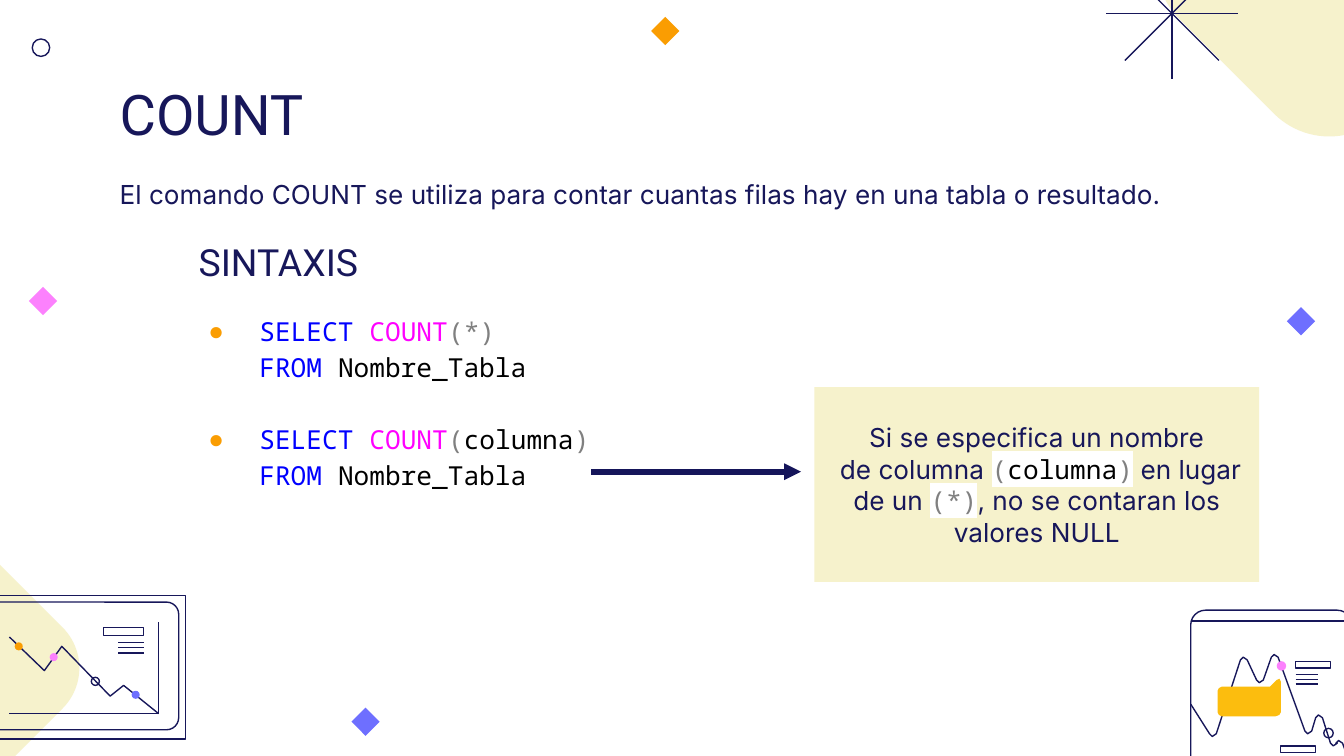
import pptx
import pptx.util
from lxml import etree
from pptx.dml.color import RGBColor
from pptx.enum.shapes import MSO_CONNECTOR, MSO_SHAPE
from pptx.enum.text import MSO_ANCHOR, MSO_AUTO_SIZE, PP_ALIGN
from pptx.oxml.ns import qn
from pptx.util import Inches

COLORS = {
    "navy": "17175A", "arrow": "15155A", "cream": "F6F2CC", "pink": "FC81FD",
    "violet": "6E6FFF", "orange": "FA9D02", "amber": "FCBD0E", "white": "FFFFFF",
    "keyword": "0000FF", "function": "FF00FF", "symbol": "808080", "code": "000000",
}
PROSE, CODE, HEADING = "Inter", "Noto Sans Mono", "Roboto"


def paint(item, fill=None, line=None, width=0.75):
    """Give a shape or connector its fill and line, without shadow."""
    if hasattr(item, "fill"):
        item.shadow.inherit = False
        if fill:
            item.fill.solid()
            item.fill.fore_color.rgb = RGBColor.from_string(COLORS[fill])
        else:
            item.fill.background()
    if line:
        item.line.color.rgb = RGBColor.from_string(COLORS[line])
        item.line.width = pptx.util.Pt(width)
    else:
        item.line.fill.background()
    if not hasattr(item, "fill"):
        etree.SubElement(item._element.spPr, qn("a:effectLst"))


def write(paragraph, pieces, font, size=14, highlight=None):
    """Add (text, color) runs; a piece of "\\n" is a line break.

    With a highlight, code-coloured pieces take the code font and the highlight.
    """
    for text, color in pieces:
        if text == "\n":
            paragraph.add_line_break()
            continue
        run = paragraph.add_run()
        run.text = text
        run.font.size = pptx.util.Pt(size)
        run.font.color.rgb = RGBColor.from_string(COLORS[color])
        marked = highlight and color != "navy"
        run.font.name = CODE if marked else font
        if marked:
            mark = etree.Element(qn("a:highlight"))
            etree.SubElement(mark, qn("a:srgbClr"), val=COLORS[highlight])
            run._r.rPr.find(qn("a:solidFill")).addnext(mark)


# A 16:9 slide
deck = pptx.Presentation()
deck.slide_width, deck.slide_height = Inches(10), Inches(10) * 9 // 16
slide = deck.slides.add_slide(deck.slide_layouts[3])
shapes = slide.shapes

# Corner blobs: rounded squares turned by 45 degrees (centre x, centre y, side)
for x, y, side in [(9.89, -0.27, 2.16), (-0.35, 4.97, 1.58)]:
    blob = shapes.add_shape(MSO_SHAPE.ROUNDED_RECTANGLE, Inches(x - side / 2),
                            Inches(y - side / 2), Inches(side), Inches(side))
    blob.adjustments[0] = 0.27
    blob.rotation = 45
    paint(blob, fill="cream")

# Scattered diamonds, by centre
diagonal = 0.21
for x, y, color in [(0.32, 2.24, "pink"), (2.72, 5.37, "violet"),
                    (4.95, 0.23, "orange"), (9.68, 2.39, "violet")]:
    diamond = shapes.add_shape(MSO_SHAPE.DIAMOND, Inches(x - diagonal / 2),
                               Inches(y - diagonal / 2), Inches(diagonal), Inches(diagonal))
    paint(diamond, fill=color)

# Frames and label boxes of the monitor (left) and the phone (right)
for x, y, w, h, radius in [
    (-0.01, 4.43, 1.39, 1.07, 0), (-0.2, 4.48, 1.53, 0.95, 0.09), (0.77, 4.67, 0.3, 0.06, 0),
    (8.86, 4.54, 1.2, 1.35, 0.11), (9.64, 4.92, 0.26, 0.05, 0), (9.53, 5.55, 0.26, 0.05, 0),
]:
    kind = MSO_SHAPE.ROUNDED_RECTANGLE if radius else MSO_SHAPE.RECTANGLE
    frame = shapes.add_shape(kind, Inches(x), Inches(y), Inches(w), Inches(h))
    if radius:
        frame.adjustments[0] = radius / min(w, h)
    paint(frame, line="navy")

# Straight strokes: star, phone header, and the text lines on both devices
strokes = [(8.72, -0.4, 8.72, 0.59), (8.23, 0.1, 9.21, 0.1), (9.07, -0.25, 8.37, 0.45),
           (8.37, -0.25, 9.07, 0.45), (8.86, 4.62, 10.07, 4.62)]
for row in range(3):
    strokes.append((0.88, 4.78 + 0.04 * row, 1.07, 4.78 + 0.04 * row))
    strokes.append((9.64, 5.02 + 0.07 * row / 2, 9.81, 5.02 + 0.07 * row / 2))
for ends in strokes:
    stroke = shapes.add_connector(MSO_CONNECTOR.STRAIGHT, *[Inches(v) for v in ends])
    paint(stroke, line="navy")

# Chart curves and the speech bubble
axes = [(1.18, 4.63), (1.18, 5.31), (0.07, 5.31)]
trend = [(1.18, 5.31), (0.92, 5.1), (0.82, 5.18), (0.46, 4.81), (0.33, 4.99), (0.07, 4.74)]
wave = [(8.86, 5.24)]
for left, y, tip in [(9, 5.46, 0.02), (9.23, 4.91, -0.02), (9.35, 5.06, 0.02),
                     (9.46, 4.89, -0.02), (9.71, 5.44, 0.02), (9.79, 5.34, -0.02),
                     (9.9, 5.53, 0.02), (9.94, 5.53, -0.02)]:
    wave += [(left, y), (left + 0.02, y + tip), (left + 0.05, y)]
wave.append((10.07, 5.76))
bubble = [(9.5, 5.06), (9.45, 5.11), (9.09, 5.11), (9.07, 5.12), (9.06, 5.14), (9.06, 5.3),
          (9.07, 5.32), (9.09, 5.33), (9.49, 5.33), (9.52, 5.32), (9.53, 5.3), (9.53, 5.07),
          (9.52, 5.05)]
for points, fill in [(axes, None), (trend, None), (wave, None), (bubble, "amber")]:
    corners = [(Inches(x), Inches(y)) for x, y in points]
    builder = shapes.build_freeform(*corners[0])
    builder.add_line_segments(corners[1:], close=bool(fill))
    paint(builder.convert_to_shape(), fill=fill, line=None if fill else "navy")

# Rings and data points
for x, y, size, color in [
    (0.24, 0.29, 0.13, None), (0.98, 5.14, 0.06, "violet"), (0.37, 4.86, 0.06, "pink"),
    (0.11, 4.78, 0.06, "orange"), (0.68, 5.04, 0.06, None),
    (9.5, 4.92, 0.07, "pink"), (9.85, 5.42, 0.07, None),
]:
    dot = shapes.add_shape(MSO_SHAPE.OVAL, Inches(x), Inches(y), Inches(size), Inches(size))
    paint(dot, fill=color, line=None if color else "navy")

# Text areas
title, intro, syntax = shapes.title, slide.placeholders[1], slide.placeholders[2]
heading = shapes.add_textbox(0, 0, Inches(1), Inches(1))
note = shapes.add_shape(MSO_SHAPE.RECTANGLE, 0, 0, Inches(1), Inches(1))
paint(note, fill="cream")
for area, x, y, w, h, anchor in [
    (title, 0.79, 0.49, 8.43, 0.63, MSO_ANCHOR.TOP),
    (intro, 0.79, 1.19, 8.43, 0.46, MSO_ANCHOR.TOP),
    (syntax, 1.33, 2.21, 3.31, 1.82, MSO_ANCHOR.TOP),
    (heading, 1.38, 1.72, 6.76, 0.49, MSO_ANCHOR.BOTTOM),
    (note, 6.06, 2.88, 3.31, 1.45, MSO_ANCHOR.MIDDLE),
]:
    area.left, area.top, area.width, area.height = [Inches(v) for v in (x, y, w, h)]
    frame = area.text_frame
    frame.word_wrap = True
    frame.auto_size = MSO_AUTO_SIZE.NONE
    frame.vertical_anchor = anchor
    frame.margin_left = frame.margin_right = Inches(0.1)
    frame.margin_top = frame.margin_bottom = Inches(0.1)
    frame.paragraphs[0].alignment = PP_ALIGN.CENTER if area is note else PP_ALIGN.LEFT

# Title, introduction and heading
write(title.text_frame.paragraphs[0], [("COUNT", "navy")], HEADING, 30)
write(heading.text_frame.paragraphs[0], [("SINTAXIS", "navy")], HEADING, 20)
summary = intro.text_frame.paragraphs[0]
summary.line_spacing = 1.15
summary.space_before = pptx.util.Pt(0)
summary._p.get_or_add_pPr().set("marL", "0")
summary._p.pPr.set("indent", "0")
etree.SubElement(summary._p.pPr, qn("a:buNone"))
write(summary, [("El comando COUNT se utiliza para contar cuantas filas hay "
                 "en una tabla o resultado.", "navy")], PROSE)

# Syntax list
arguments = [[("(*) ", "symbol")], [("(", "symbol"), ("columna", "code"), (")", "symbol")]]
for index, argument in enumerate(arguments):
    query = syntax.text_frame.add_paragraph() if index else syntax.text_frame.paragraphs[0]
    query.line_spacing = 1.15
    query.space_before = pptx.util.Pt(19.3 if index else 0)
    query._p.pPr.set("marL", str(Inches(0.5)))
    query._p.pPr.set("indent", str(Inches(-0.38)))
    bullet_color = etree.SubElement(query._p.pPr, qn("a:buClr"))
    etree.SubElement(bullet_color, qn("a:srgbClr"), val=COLORS["orange"])
    etree.SubElement(query._p.pPr, qn("a:buFont"), typeface=CODE)
    etree.SubElement(query._p.pPr, qn("a:buChar"), char="●")
    write(query, [("SELECT ", "keyword"), ("COUNT", "function"), *argument, ("\n", None),
                  ("FROM ", "keyword"), ("Nombre_Tabla", "code")], CODE)

# Note about columns, with its arrow
write(note.text_frame.paragraphs[0], [
    ("Si se especifica un nombre", "navy"), ("\n", None), (" de columna ", "navy"),
    ("(", "symbol"), ("columna", "code"), (")", "symbol"), (" en lugar de un ", "navy"),
    ("(*)", "symbol"), (", no se contaran los valores NULL", "navy"),
], PROSE, highlight="white")
arrow = shapes.add_connector(MSO_CONNECTOR.STRAIGHT, Inches(4.4), Inches(3.51),
                             Inches(5.96), Inches(3.51))
paint(arrow, line="arrow", width=3)
etree.SubElement(arrow._element.spPr.find(qn("a:ln")), qn("a:tailEnd"), type="triangle")

deck.save("out.pptx")
